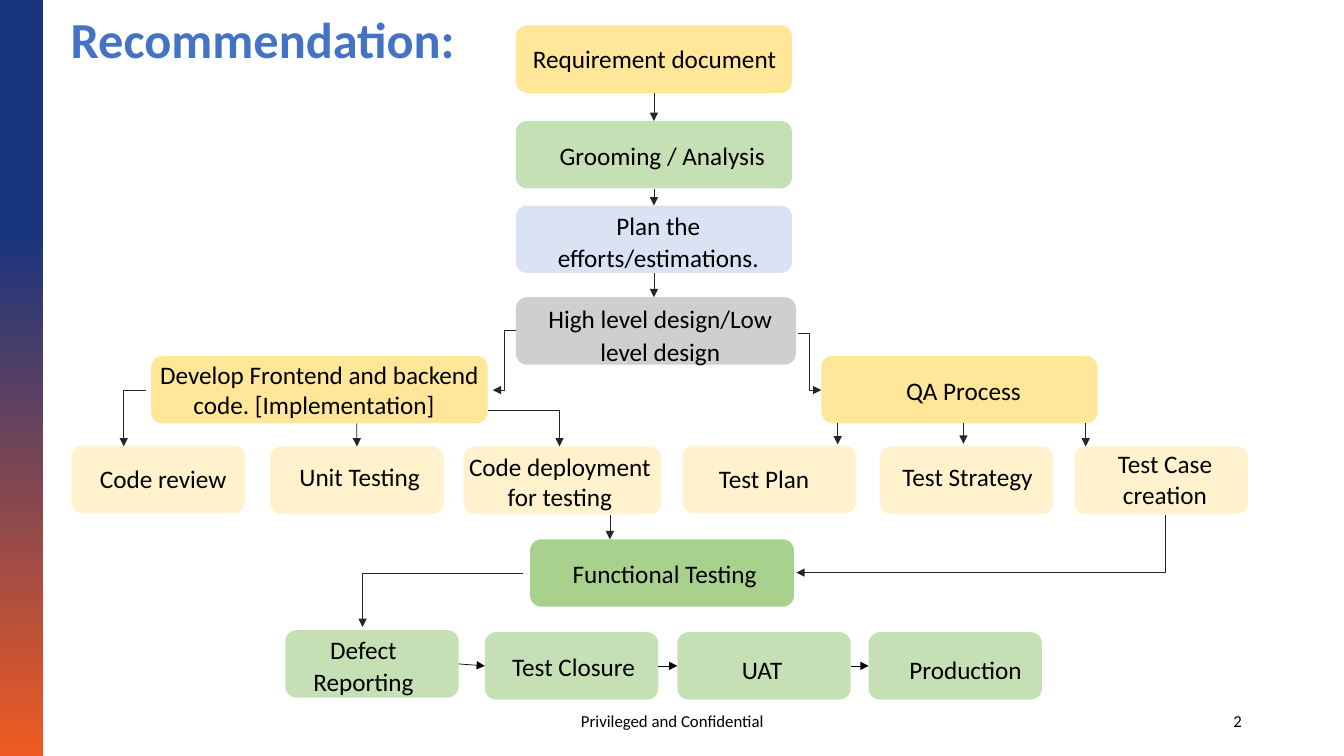
"""Build the recommendation slide: a delivery process flowchart with a gradient sidebar."""
from dataclasses import dataclass
from itertools import pairwise
from typing import Optional

from lxml.etree import SubElement
from pptx import Presentation
from pptx.dml.color import RGBColor
from pptx.enum.shapes import MSO_CONNECTOR as Connector, MSO_SHAPE as Preset
from pptx.enum.text import MSO_ANCHOR as Anchor, MSO_AUTO_SIZE as AutoSize, PP_ALIGN as Align
from pptx.oxml.ns import qn
from pptx.shapes.autoshape import Shape
from pptx.shapes.connector import Connector as ConnectorShape
from pptx.slide import Slide
from pptx.text.text import TextFrame
from pptx.util import Cm, Pt

TOP, LEFT, BOTTOM, RIGHT = range(4)
BOX_HEIGHT = 1.7


@dataclass(frozen=True)
class Theme:
    """Colours, font and sizes of the slide."""
    font: str = "Calibri"
    title_size: int = 36
    label_size: int = 18
    footer_size: int = 12
    line_width: float = 0.5
    title: str = "4472C4"
    text: str = "000000"
    arrow: str = "262626"
    release_arrow: str = "000000"
    sidebar_top: str = "19357E"
    sidebar_bottom: str = "F05A22"
    yellow: str = "FFE699"
    cream: str = "FFF2CC"
    green: str = "C5E0B4"
    dark_green: str = "A9D18E"
    blue: str = "DAE3F3"
    grey: str = "D0CECE"


THEME = Theme()


@dataclass(frozen=True)
class Step:
    """A flowchart box and the frame of its label, in centimetres."""
    text: str
    left: float
    top: float
    width: float
    fill: str
    label_left: float
    label_top: float
    label_width: float
    loose: bool = False
    lines: int = 1
    align: Align = Align.CENTER


@dataclass(frozen=True)
class Arrow:
    """An arrow between two points, in centimetres, with optional joined steps."""
    start: tuple[float, float]
    end: tuple[float, float]
    geometry: str = "line"
    head_tag: str = "a:tailEnd"
    source: Optional[str] = None
    target: Optional[str] = None


@dataclass(frozen=True)
class Footer:
    """A footer text with its left edge and width, in centimetres."""
    text: str
    left: float
    width: float
    align: Align


STEPS = (
    Step("Requirement document", 13, 0.64, 6.96, THEME.yellow, 13.18, 0.97, 6.96, align=Align.LEFT),
    Step("Grooming / Analysis", 13, 3.05, 6.96, THEME.green, 13.21, 3.35, 6.96, True),
    Step("Plan the efforts/estimations.", 13, 5.18, 6.96, THEME.blue, 13.11, 5.11, 6.96, True, 2),
    Step("High level design/Low level design", 13, 7.49, 7.06, THEME.grey, 13.16, 7.47, 6.96, True, 2),
    Step("Develop Frontend and backend code. [Implementation] \t", 3.81, 8.97, 8.48, THEME.yellow,
         3.68, 8.92, 8.74, lines=2),
    Step("QA Process", 20.7, 8.97, 6.96, THEME.yellow, 20.8, 9.27, 6.96, True),
    Step("Code review", 1.8, 11.23, 4.37, THEME.cream, 1.93, 11.56, 4.37),
    Step("Unit Testing", 6.81, 11.25, 4.37, THEME.cream, 6.88, 11.51, 4.37),
    Step("Code deployment for testing", 11.68, 11.25, 4.98, THEME.cream, 11.38, 11.25, 5.46, lines=2),
    Step("Test Plan", 17.2, 11.23, 4.37, THEME.cream, 17.07, 11.56, 4.37),
    Step("Test Strategy", 22.17, 11.25, 4.37, THEME.cream, 22.2, 11.51, 4.37),
    Step("Test Case creation", 27.08, 11.25, 4.37, THEME.cream, 27.66, 11.18, 3.4, lines=2),
    Step("Functional Testing", 13.36, 13.59, 6.65, THEME.dark_green, 12.8, 13.89, 7.9, True),
    Step("Defect Reporting", 7.19, 15.88, 4.37, THEME.green, 7.19, 15.8, 3.94, True, 2),
    Step("Test Closure", 12.22, 15.93, 4.37, THEME.green, 12.22, 16.23, 4.47, True),
    Step("UAT", 17.07, 15.93, 4.37, THEME.green, 16.97, 16.31, 4.47, True),
    Step("Production", 21.89, 15.93, 4.37, THEME.green, 22.1, 16.31, 4.47, True),
)
PLANNING = ("Requirement document", "Grooming / Analysis", "Plan the efforts/estimations.")
RELEASE = ("Defect Reporting", "Test Closure", "UAT", "Production")
ARROWS = (
    Arrow((16.48, 6.88), (16.48, 7.49), source="Plan the efforts/estimations."),
    Arrow((8.99, 10.67), (8.99, 11.25), target="Unit Testing"),
    Arrow((21.11, 10.67), (21.11, 11.2)),
    Arrow((24.28, 10.67), (24.28, 11.18)),
    Arrow((27.36, 10.67), (27.36, 11.25)),
    Arrow((15.37, 12.98), (15.37, 13.59)),
    Arrow((20.12, 8.41), (20.7, 9.83), "bentConnector3"),
    Arrow((13, 8.33), (12.42, 9.83), "bentConnector3"),
    Arrow((12.29, 10.34), (14.1, 11.25), "bentConnector2"),
    Arrow((3.68, 9.83), (3.12, 11.25), "bentConnector2"),
    Arrow((13.18, 14.45), (9.14, 15.8), "bentConnector2"),
    Arrow((20.07, 14.43), (29.36, 12.98), "bentConnector2", "a:headEnd"),
)
FOOTERS = (
    Footer("Privileged and Confidential", 11.23, 11.43, Align.CENTER),
    Footer("2", 23.93, 7.62, Align.RIGHT),
)


def write_text(frame: TextFrame, text: str, size: int, align: Align, color: str = THEME.text,
               bold: bool = False) -> None:
    """Write one formatted run into the first paragraph of a frame."""
    frame.word_wrap = True
    paragraph = frame.paragraphs[0]
    paragraph.alignment = align
    run = paragraph.add_run()
    run.text = text
    run.font.name = THEME.font
    run.font.size = Pt(size)
    run.font.bold = bold
    run.font.color.rgb = RGBColor.from_string(color)


def add_title(slide: Slide, width: int) -> None:
    """Place and format the title placeholder."""
    title = slide.shapes.title
    title.left, title.top, title.width, title.height = Cm(0), Cm(0), width, Cm(2.11)
    frame = title.text_frame
    frame.auto_size = AutoSize.NONE
    frame.vertical_anchor = Anchor.MIDDLE
    frame.margin_left = Cm(1.78)
    write_text(frame, "Recommendation:", THEME.title_size, Align.LEFT, THEME.title, True)
    frame.paragraphs[0].line_spacing = 0.9


def add_sidebar(slide: Slide, height: int) -> None:
    """Draw the vertical gradient band on the left edge."""
    sidebar = slide.shapes.add_shape(Preset.RECTANGLE, Cm(0), Cm(0), Cm(1.09), height)
    sidebar.shadow.inherit = False
    sidebar.line.fill.background()
    sidebar.fill.gradient()
    sidebar.fill.gradient_angle = 270
    stops = ((0.31, THEME.sidebar_top), (1, THEME.sidebar_bottom))
    for stop, (position, color) in zip(sidebar.fill.gradient_stops, stops):
        stop.position = position
        stop.color.rgb = RGBColor.from_string(color)


def add_step(slide: Slide, step: Step) -> Shape:
    """Draw a rounded box with its label and return the box."""
    box = slide.shapes.add_shape(Preset.ROUNDED_RECTANGLE, Cm(step.left), Cm(step.top),
                                 Cm(step.width), Cm(BOX_HEIGHT))
    box.shadow.inherit = False
    box.fill.solid()
    box.fill.fore_color.rgb = RGBColor.from_string(step.fill)
    box.line.fill.background()
    label = slide.shapes.add_textbox(Cm(step.label_left), Cm(step.label_top), Cm(step.label_width),
                                     Cm(1.03 if step.lines == 1 else 1.83))
    label.text_frame.auto_size = AutoSize.SHAPE_TO_FIT_TEXT
    write_text(label.text_frame, step.text, THEME.label_size, step.align)
    if step.loose:
        label.text_frame.paragraphs[0].line_spacing = 1.07
        label.text_frame.paragraphs[0].space_after = Pt(8)
    return box


def add_arrow(slide: Slide, arrow: Arrow, color: str = THEME.arrow) -> ConnectorShape:
    """Draw a straight or bent connector with a triangular head."""
    kind = Connector.STRAIGHT if arrow.geometry == "line" else Connector.ELBOW
    connector = slide.shapes.add_connector(kind, *map(Cm, arrow.start + arrow.end))
    connector.line.width = Pt(THEME.line_width)
    connector.line.color.rgb = RGBColor.from_string(color)
    properties = connector.element.spPr
    properties.find(qn("a:prstGeom")).set("prst", arrow.geometry)
    SubElement(properties.find(qn("a:ln")), qn(arrow.head_tag), type="triangle")
    SubElement(properties, qn("a:effectLst"))
    return connector


def add_chain(slide: Slide, boxes: dict[str, Shape], names: tuple[str, ...], sites: tuple[int, int],
              color: str) -> None:
    """Join consecutive boxes by straight arrows."""
    for source, target in pairwise(names):
        connector = add_arrow(slide, Arrow((0, 0), (0, 0)), color)
        connector.begin_connect(boxes[source], sites[0])
        connector.end_connect(boxes[target], sites[1])


def add_footer(slide: Slide, footer: Footer) -> None:
    """Place a footer text at the bottom of the slide."""
    box = slide.shapes.add_textbox(Cm(footer.left), Cm(17.65), Cm(footer.width), Cm(1.02))
    box.text_frame.vertical_anchor = Anchor.MIDDLE
    write_text(box.text_frame, footer.text, THEME.footer_size, footer.align)


def main() -> None:
    """Assemble the slide and save it."""
    presentation = Presentation()
    presentation.slide_width, presentation.slide_height = Cm(33.87), Cm(19.05)
    slide = presentation.slides.add_slide(presentation.slide_layouts[5])
    add_sidebar(slide, presentation.slide_height)
    add_title(slide, presentation.slide_width)
    boxes = {step.text: add_step(slide, step) for step in STEPS}
    add_chain(slide, boxes, PLANNING, (BOTTOM, TOP), THEME.arrow)
    add_chain(slide, boxes, RELEASE, (RIGHT, LEFT), THEME.release_arrow)
    for arrow in ARROWS:
        connector = add_arrow(slide, arrow)
        if arrow.source:
            connector.begin_connect(boxes[arrow.source], BOTTOM)
        if arrow.target:
            connector.end_connect(boxes[arrow.target], TOP)
    for footer in FOOTERS:
        add_footer(slide, footer)
    presentation.save("out.pptx")


if __name__ == "__main__":
    main()
